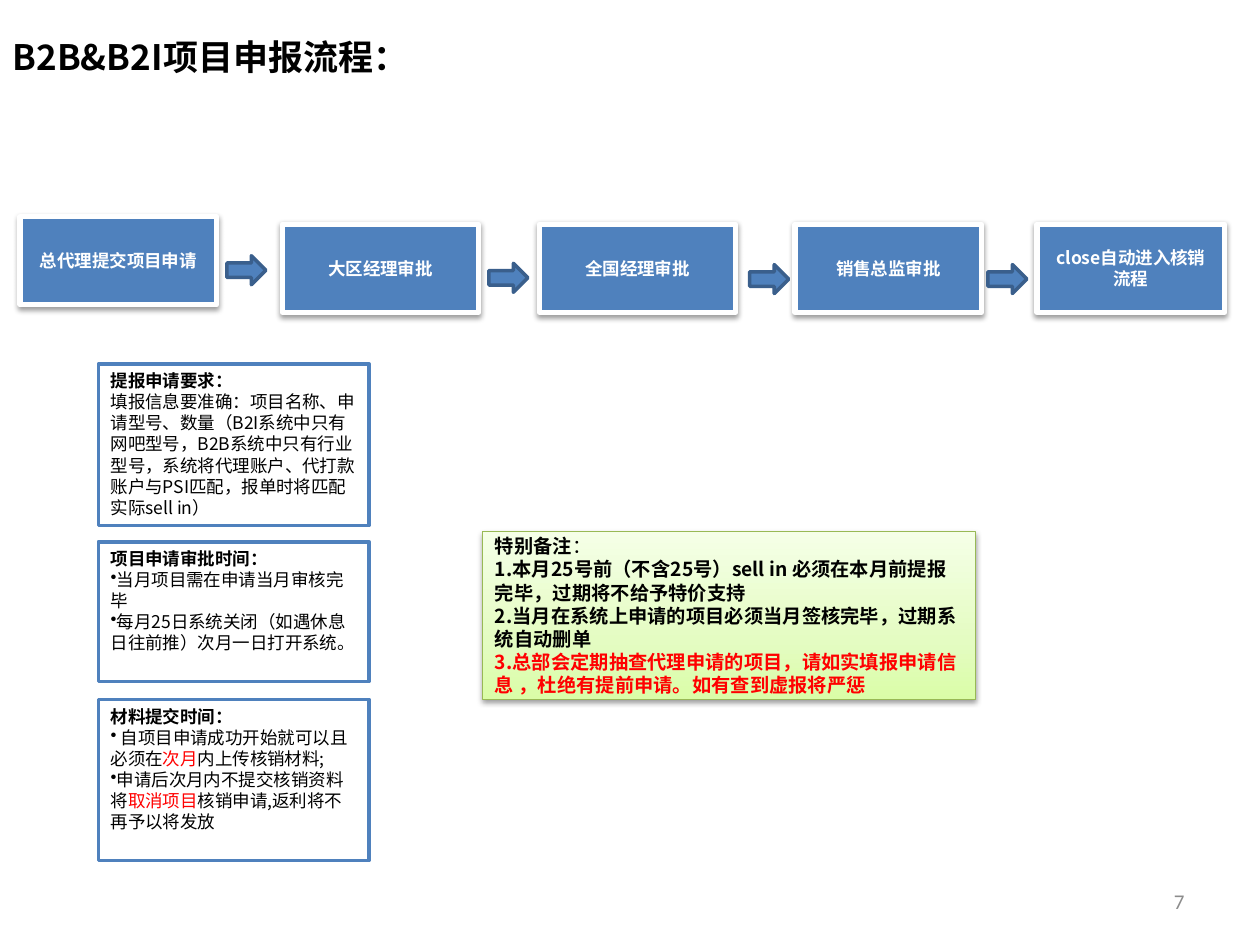
from lxml import etree
from pptx import Presentation
from pptx.dml.color import RGBColor
from pptx.enum import shapes, text
from pptx.oxml import ns
from pptx.util import Inches, Pt

BLUE = RGBColor(0x4F, 0x81, 0xBD)
NAVY = RGBColor(0x3A, 0x5F, 0x8C)
WHITE = RGBColor(255, 255, 255)
BLACK = RGBColor(0, 0, 0)
RED = RGBColor(255, 0, 0)
GRAY = RGBColor(0x8C, 0x8C, 0x8C)
GREEN = RGBColor(0x98, 0xB9, 0x55)
CJK = "Noto Sans CJK SC"

# Content: a run is (words, bold, colour); a paragraph is (bullet, runs)
TITLE = "B2B&B2I项目申报流程："
STEPS = [  # words, left, top, width
    ("总代理提交项目申请", 0.16, 1.72, 1.56),
    ("大区经理审批", 2.24, 1.78, 1.56),
    ("全国经理审批", 4.28, 1.78, 1.56),
    ("销售总监审批", 6.31, 1.78, 1.48),
    ("close自动进入核销流程", 8.23, 1.78, 1.49),
]
ARROWS = [(1.8, 2.03), (3.88, 2.09), (5.95, 2.1), (7.84, 2.1)]
RULES = [  # top, height, paragraphs
    (2.89, 1.28, [
        (False, [("提报申请要求：", True, BLACK)]),
        (False, [("填报信息要准确：项目名称、申请型号、数量（B2I系统中只有网吧型号，"
                  "B2B系统中只有行业型号，系统将代理账户、代打款账户与PSI匹配，"
                  "报单时将匹配实际sell in）", False, BLACK)]),
    ]),
    (4.3, 1.11, [
        (False, [("项目申请审批时间：", True, BLACK)]),
        (True, [("当月项目需在申请当月审核完毕", False, BLACK)]),
        (True, [("每月25日系统关闭（如遇休息日往前推）次月一日打开系统。", False, BLACK)]),
    ]),
    (5.55, 1.28, [
        (False, [("材料提交时间：", True, BLACK)]),
        (True, [(" 自项目申请成功开始就可以且必须在", False, BLACK),
                ("次月", False, RED), ("内上传核销材料;", False, BLACK)]),
        (True, [("申请后次月内不提交核销资料将", False, BLACK),
                ("取消项目", False, RED),
                ("核销申请,返利将不再予以将发放", False, BLACK)]),
    ]),
]
NOTES = [
    (False, [("特别备注", True, BLACK), ("：", False, BLACK)]),
    (False, [("1.本月25号前（不含25号）sell in 必须在本月前提报完毕，"
              "过期将不给予特价支持", True, BLACK)]),
    (False, [("2.当月在系统上申请的项目必须当月签核完毕，过期系统自动删单", True, BLACK)]),
    (False, [("3.总部会定期抽查代理申请的项目，请如实填报申请信息 ，"
              "杜绝有提前申请。如有查到虚报将严惩", True, RED)]),
]
STOPS = [(0, "DAFDA7"), (35, "E4FCC2"), (100, "F5FFE7")]


def sub(node, tag, **vals):
    return etree.SubElement(node, ns.qn(tag), {k: str(v) for k, v in vals.items()})


def write(shape, paras, size, align=text.PP_ALIGN.LEFT,
          anchor=text.MSO_ANCHOR.MIDDLE, face=CJK):
    frame = shape.text_frame
    form = {"word_wrap": True, "auto_size": text.MSO_AUTO_SIZE.NONE,
            "vertical_anchor": anchor}
    for key, val in form.items():
        setattr(frame, key, val)
    for i, (dot, runs) in enumerate(paras):
        para = frame.add_paragraph() if i else frame.paragraphs[0]
        para.alignment = align
        if dot:
            sub(para._p.get_or_add_pPr(), "a:buChar", char="•")
        for words, bold, color in runs:
            run = para.add_run()
            run.text = words
            look = {"size": Pt(size), "bold": bold, "name": face}
            for key, val in look.items():
                setattr(run.font, key, val)
            run.font.color.rgb = color
            sub(run._r.get_or_add_rPr(), "a:ea", typeface=face)


def draw(kind, box, fill, line, width):
    shape = page.shapes.add_shape(kind, *map(Inches, box))
    shape.shadow.inherit = False
    shape.fill.solid()
    shape.fill.fore_color.rgb = fill
    shape.line.color.rgb = line
    shape.line.width = Pt(width)
    return shape


def shade(shape):
    fx = shape._element.spPr.find(ns.qn("a:effectLst"))
    drop = sub(fx, "a:outerShdw", blurRad=Pt(3.1), dist=Pt(1.6),
               dir=90 * 60000, rotWithShape=0)
    sub(sub(drop, "a:srgbClr", val="000000"), "a:alpha", val=38000)


def blend(shape):
    shape.fill.gradient()
    shape.fill.gradient_angle = 90
    stops = shape._element.spPr.find(ns.qn("a:gradFill")).find(ns.qn("a:gsLst"))
    for old in list(stops):
        stops.remove(old)
    for pos, color in STOPS:
        sub(sub(stops, "a:gs", pos=pos * 1000), "a:srgbClr", val=color)


deck = Presentation()
deck.slide_width, deck.slide_height = Inches(10), Inches(7.5)
page = deck.slides.add_slide(deck.slide_layouts[5])
RECT = shapes.MSO_SHAPE.RECTANGLE

# Title
head = page.shapes.title
head.left, head.top, head.width, head.height = map(Inches, (0, 0.23, 3.59, 0.44))
write(head, [(False, [(TITLE, True, BLACK)])], 20, anchor=text.MSO_ANCHOR.TOP)

# Process steps and the arrows between them
for words, left, top, width in STEPS:
    step = draw(RECT, (left, top, width, 0.7), BLUE, WHITE, 3)
    shade(step)
    write(step, [(False, [(words, True, WHITE)])], 10, text.PP_ALIGN.CENTER)
for left, top in ARROWS:
    draw(shapes.MSO_SHAPE.RIGHT_ARROW, (left, top, 0.31, 0.23), BLUE, NAVY, 2)

# Rules
for top, height, paras in RULES:
    rule = draw(RECT, (0.78, top, 2.15, height), WHITE, BLUE, 2)
    write(rule, paras, 10, anchor=text.MSO_ANCHOR.TOP)

# Special notes
note = draw(RECT, (3.83, 4.22, 3.91, 1.33), WHITE, GREEN, 0.75)
blend(note)
shade(note)
write(note, NOTES, 11)

# Page number
num = page.shapes.add_textbox(*map(Inches, (7.17, 6.95, 2.33, 0.4)))
write(num, [(False, [("7", False, GRAY)])], 12, text.PP_ALIGN.RIGHT, face="Calibri")

deck.save("out.pptx")
